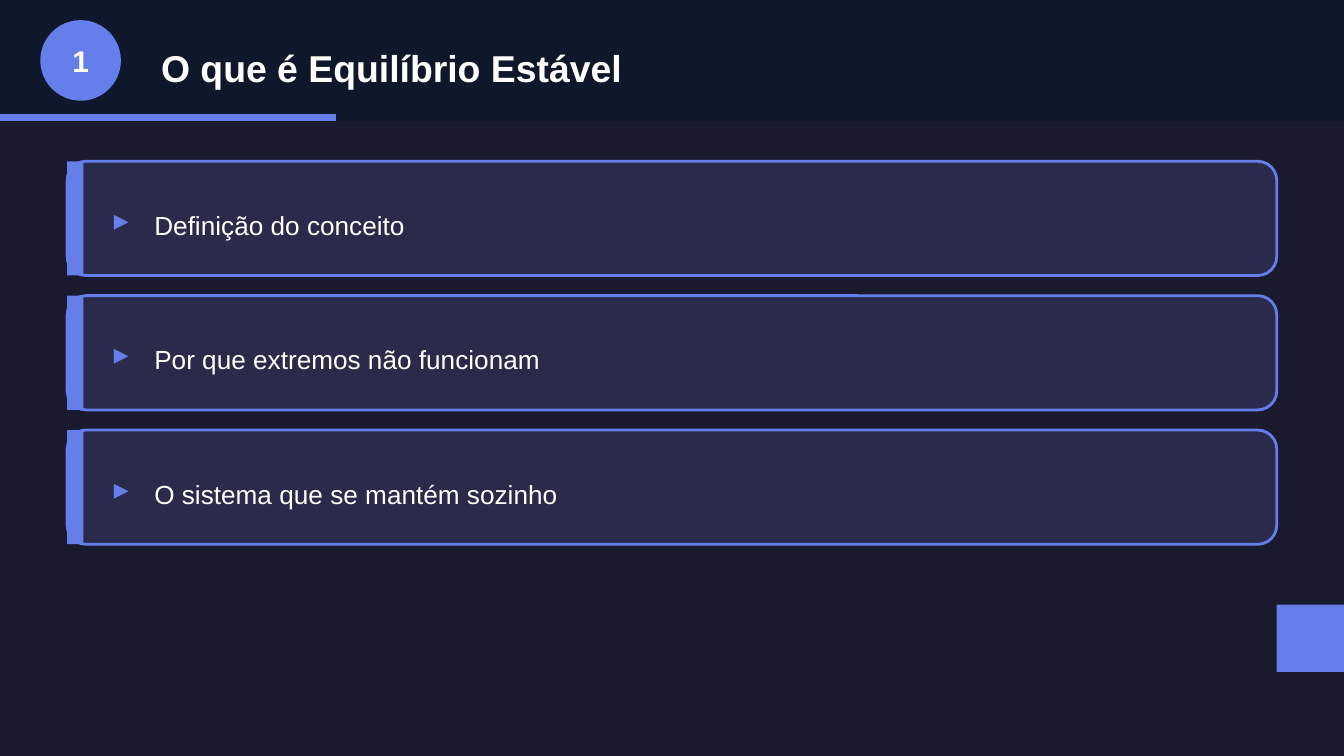
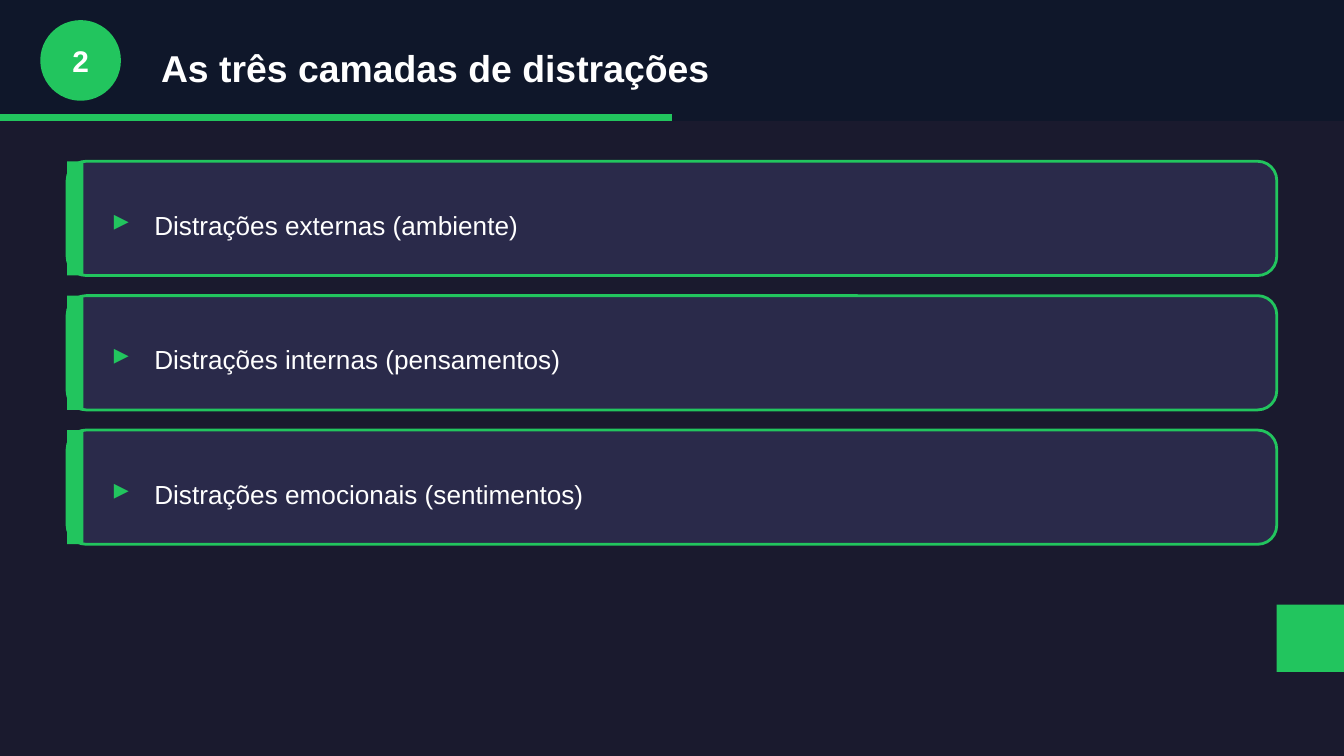
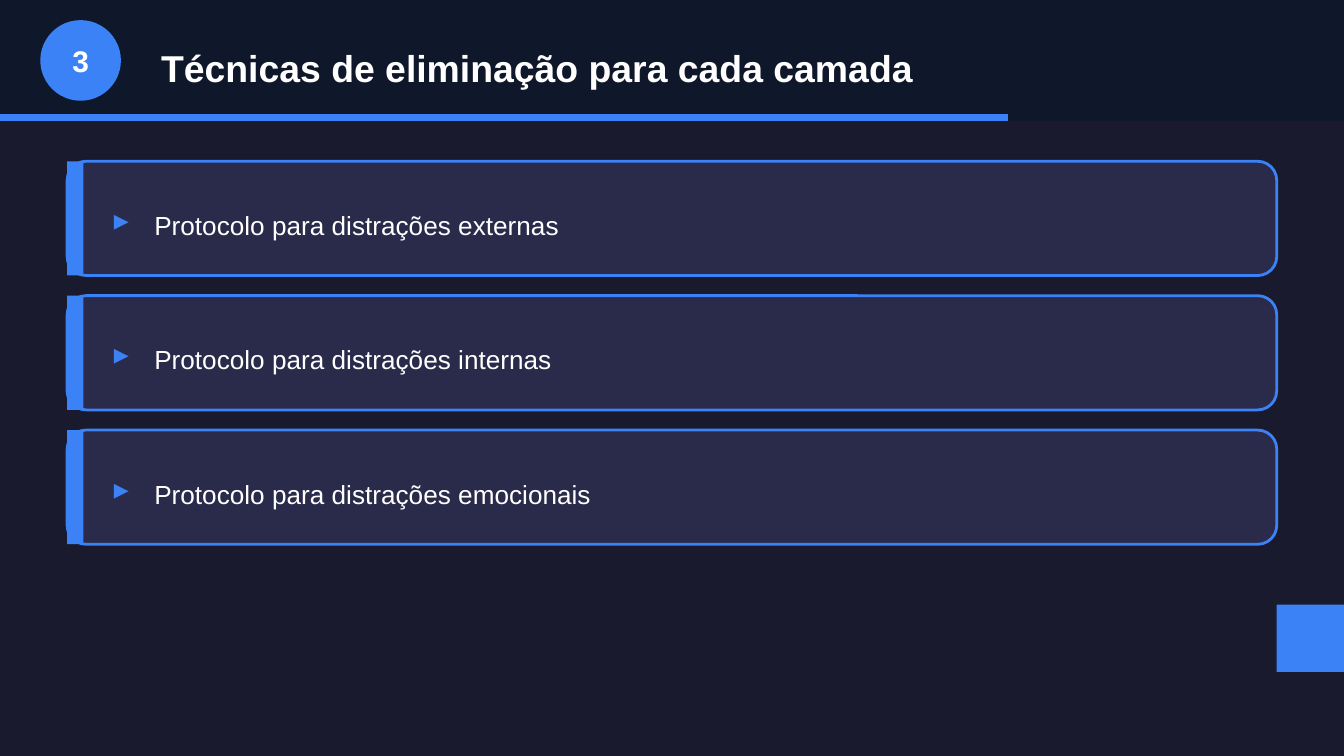
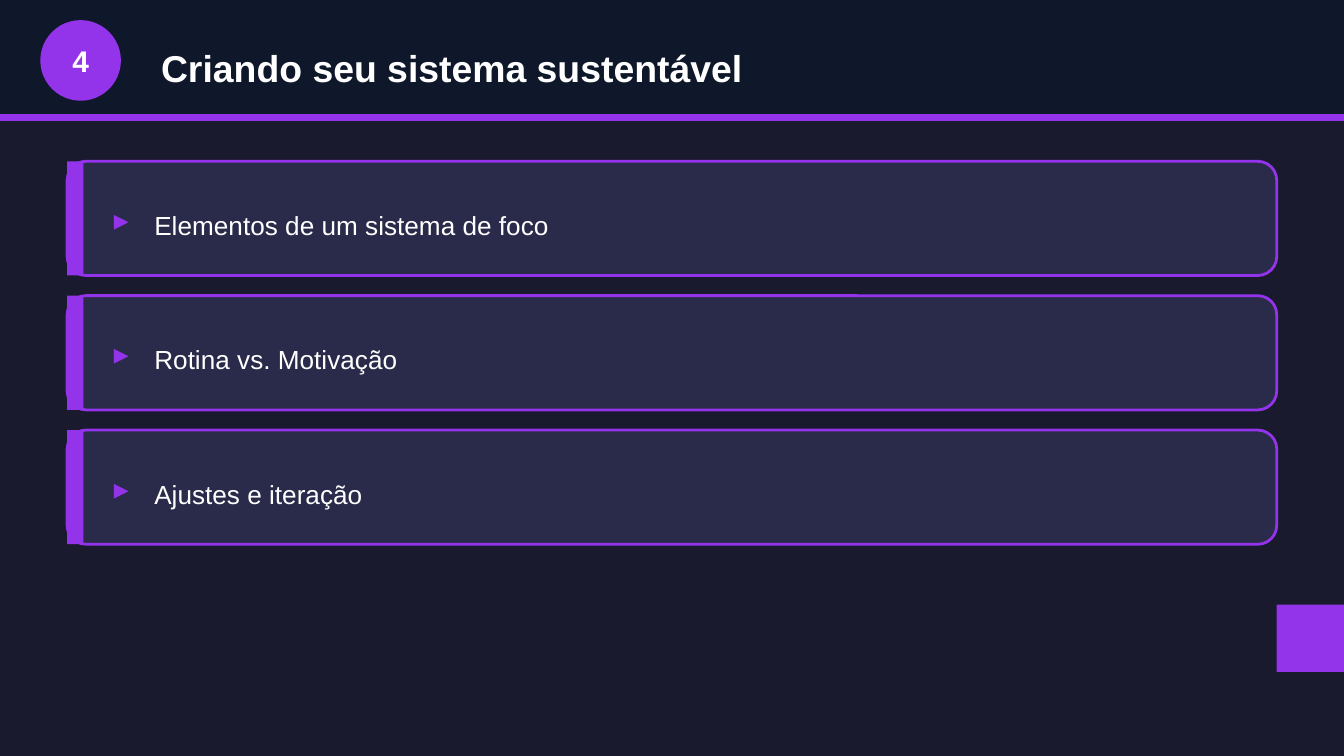
from pptx import Presentation
from pptx import util as u
from pptx.dml.color import RGBColor
from pptx.enum import shapes, text

# Shared style
FONT = "Arial"
WHITE = RGBColor(0xFF, 0xFF, 0xFF)
BACKGROUND = RGBColor(0x1A, 0x1A, 0x2E)
HEADER = RGBColor(0x0F, 0x17, 0x2A)
CARD = RGBColor(0x2A, 0x2A, 0x4A)
INDIGO = RGBColor(0x66, 0x7E, 0xEA)
GREEN = RGBColor(0x22, 0xC5, 0x5E)
BLUE = RGBColor(0x3B, 0x82, 0xF6)
PURPLE = RGBColor(0x93, 0x33, 0xEA)

RECTANGLE = shapes.MSO_SHAPE.RECTANGLE
ROUNDED = shapes.MSO_SHAPE.ROUNDED_RECTANGLE
OVAL = shapes.MSO_SHAPE.OVAL

# Card layout, in inches
WIDTH = 10
CARD_LEFT, CARD_TOP = 0.5, 1.2
CARD_HEIGHT, CARD_STEP = 0.85, 1

# Content: accent colour, title, card texts
LESSONS = [
    (INDIGO, "O que é Equilíbrio Estável", [
        "Definição do conceito",
        "Por que extremos não funcionam",
        "O sistema que se mantém sozinho",
    ]),
    (GREEN, "As três camadas de distrações", [
        "Distrações externas (ambiente)",
        "Distrações internas (pensamentos)",
        "Distrações emocionais (sentimentos)",
    ]),
    (BLUE, "Técnicas de eliminação para cada camada", [
        "Protocolo para distrações externas",
        "Protocolo para distrações internas",
        "Protocolo para distrações emocionais",
    ]),
    (PURPLE, "Criando seu sistema sustentável", [
        "Elementos de um sistema de foco",
        "Rotina vs. Motivação",
        "Ajustes e iteração",
    ]),
]


def write(box, content, size=14, color=WHITE, bold=False, align=text.PP_ALIGN.LEFT):
    """Put one formatted line of text in a box."""
    frame = box.text_frame
    frame.word_wrap = True
    frame.vertical_anchor = text.MSO_ANCHOR.MIDDLE
    para = frame.paragraphs[0]
    para.alignment = align
    span = para.add_run()
    span.text = content
    span.font.name = FONT
    span.font.size = u.Pt(size)
    span.font.bold = bold
    span.font.color.rgb = color


class LessonPage:
    """A slide with its accent colour."""

    def __init__(self, deck, accent):
        self.accent = accent
        self.page = deck.slides.add_slide(deck.slide_layouts[6])
        fill = self.page.background.fill
        fill.solid()
        fill.fore_color.rgb = BACKGROUND

    def shape(self, kind, left, top, width, height, fill=None, line=None):
        shape = self.page.shapes.add_shape(kind, *map(u.Inches, (left, top, width, height)))
        shape.shadow.inherit = False
        shape.fill.solid()
        shape.fill.fore_color.rgb = fill or self.accent
        if line:
            shape.line.color.rgb = line
            shape.line.width = u.Pt(1.5)
        else:
            shape.line.fill.background()

    def label(self, content, left, top, width, height, **style):
        box = self.page.shapes.add_textbox(*map(u.Inches, (left, top, width, height)))
        write(box, content, **style)

    def header(self, number, title, progress):
        self.shape(RECTANGLE, 0, 0, WIDTH, 0.9, fill=HEADER)
        self.shape(RECTANGLE, 0, 0.85, WIDTH * progress, 0.05)
        self.shape(OVAL, 0.3, 0.15, 0.6, 0.6)
        self.label(str(number), 0.3, 0.25, 0.6, 0.4, size=16, bold=True,
                   align=text.PP_ALIGN.CENTER)
        self.label(title, 1.1, 0.25, 8.5, 0.5, size=20, bold=True)

    def card(self, index, content):
        top = CARD_TOP + index * CARD_STEP
        self.shape(ROUNDED, CARD_LEFT, top, WIDTH - 2 * CARD_LEFT, CARD_HEIGHT,
                   fill=CARD, line=self.accent)
        self.shape(RECTANGLE, CARD_LEFT, top, 0.12, CARD_HEIGHT)
        self.label("▸", 0.75, top + 0.25, 0.3, 0.35, size=16, bold=True, color=self.accent)
        self.label(content, 1.05, top + 0.25, 8.2, 0.45)

    def corner(self):
        self.shape(RECTANGLE, WIDTH - 0.5, 4.5, 0.5, 0.5)


def main():
    deck = Presentation()
    deck.slide_width = u.Inches(WIDTH)
    deck.slide_height = u.Inches(WIDTH * 9 / 16)
    for number, (accent, title, items) in enumerate(LESSONS, start=1):
        lesson = LessonPage(deck, accent)
        lesson.header(number, title, number / len(LESSONS))
        for index, item in enumerate(items):
            lesson.card(index, item)
        lesson.corner()
    deck.save("out.pptx")


if __name__ == "__main__":
    main()
